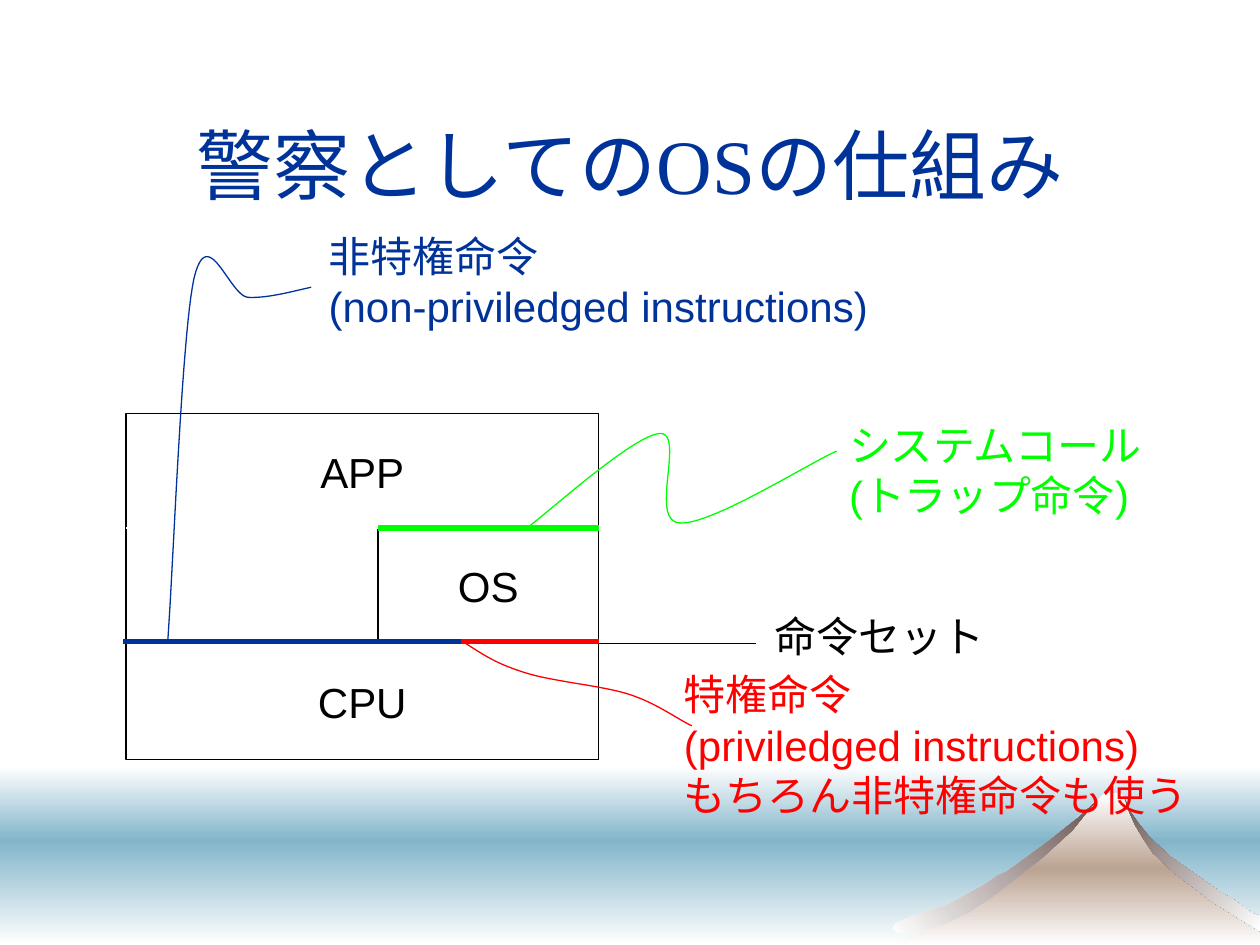
from copy import deepcopy
from dataclasses import dataclass

from lxml import etree
from pptx import Presentation
from pptx.dml.color import RGBColor
from pptx.enum.shapes import MSO_CONNECTOR, MSO_SHAPE
from pptx.enum.text import MSO_ANCHOR, MSO_AUTO_SIZE, PP_ALIGN
from pptx.oxml.ns import qn
from pptx.util import Inches, Pt

RECTANGLE = MSO_SHAPE.RECTANGLE
STRAIGHT = MSO_CONNECTOR.STRAIGHT
LEFT, CENTER = PP_ALIGN.LEFT, PP_ALIGN.CENTER
TOP, MIDDLE = MSO_ANCHOR.TOP, MSO_ANCHOR.MIDDLE
FIT_SHAPE = MSO_AUTO_SIZE.SHAPE_TO_FIT_TEXT

BLACK = RGBColor(0x00, 0x00, 0x00)
WHITE = RGBColor(0xFF, 0xFF, 0xFF)
NAVY = RGBColor(0x00, 0x33, 0x99)
GREEN = RGBColor(0x00, 0xFF, 0x00)
RED = RGBColor(0xFF, 0x00, 0x00)
WATER = RGBColor(0x82, 0xB5, 0xCA)
EARTH = RGBColor(0xBC, 0xA3, 0x92)
RIDGE = RGBColor(0x6B, 0x56, 0x53)

THIN, THICK = 0.74, 3
LAYER_LEFT, LAYER_WIDTH, LAYER_HEIGHT = 1, 3.75, 0.92
LAYER_TOPS = (3.28, 4.19, 5.11)
OS_LEFT = 3
CURVE_STEPS = 24

Point = tuple[float, float]


@dataclass
class Layer:
    text: str
    left: float
    row: int
    width: float


@dataclass
class Rule:
    start: Point
    end: Point
    color: RGBColor
    weight: float


@dataclass
class Label:
    text: str
    box: tuple[float, float, float, float]
    color: RGBColor


@dataclass
class Curve:
    points: list[Point]
    color: RGBColor


@dataclass
class Slope:
    points: list[Point]
    colors: list[RGBColor]
    angle: float


BANDS = [
    (6.08, 0.59, [WHITE, WATER]),
    (6.67, 0.83, [WATER, WHITE]),
]
SLOPES = [
    Slope([(7.11, 7.5), (7.9, 7.05), (8.4, 6.66), (8.69, 6.37), (8.75, 6.31),
           (8.8, 6.29), (8.86, 6.29), (8.91, 6.31), (9.03, 6.57), (9.22, 6.8),
           (9.68, 7.12), (10, 7.33), (10, 7.5)], [WHITE, EARTH, WHITE], 270),
    Slope([(9.15, 6.77), (9.31, 6.92), (9.48, 7.05), (9.61, 7.15), (9.9, 7.33),
           (10, 7.39), (10, 7.27), (9.94, 7.25), (9.79, 7.14), (9.7, 7.09),
           (9.29, 6.8), (9.12, 6.64), (9.04, 6.54), (8.97, 6.44), (8.92, 6.32),
           (8.96, 6.44), (9.01, 6.55), (9.07, 6.65)], [RIDGE, WHITE], 315),
    Slope([(8.32, 6.68), (7.99, 6.92), (7.92, 6.95), (7.82, 7.02), (7.51, 7.19),
           (7.35, 7.23), (7.2, 7.29), (7.11, 7.33), (7.08, 7.37), (7.12, 7.4),
           (7.2, 7.41), (7.3, 7.39), (7.5, 7.33), (7.69, 7.24), (7.86, 7.13),
           (8.27, 6.81), (8.51, 6.59), (8.64, 6.43), (8.68, 6.38), (8.56, 6.49)],
          [WHITE, RIDGE], 45),
]
LAYERS = [
    Layer("CPU", LAYER_LEFT, 2, LAYER_WIDTH),
    Layer("OS", OS_LEFT, 1, 1.75),
    Layer("APP", LAYER_LEFT, 0, LAYER_WIDTH),
    Layer("", LAYER_LEFT, 1, 2),
]
RULES = [
    Rule((1, 4.19), (3, 4.19), WHITE, THIN),
    Rule((3, 4.19), (4.75, 4.19), GREEN, THICK),
    Rule((3, 5.09), (4.75, 5.09), RED, THICK),
    Rule((0.98, 5.09), (3.66, 5.09), NAVY, THICK),
    Rule((4.75, 5.11), (6, 5.11), BLACK, THIN),
]
CURVES = [
    Curve([(4.17, 4.2), (4.35, 4.07), (5.03, 3.45), (5.24, 3.44), (5.44, 3.44),
           (5.15, 4.13), (5.39, 4.15), (5.62, 4.18), (6.38, 3.7), (6.64, 3.58)], GREEN),
    Curve([(3.67, 5.09), (3.87, 5.22), (3.95, 5.27), (4.17, 5.34), (4.39, 5.41),
           (4.77, 5.44), (4.99, 5.51), (5.21, 5.58), (5.38, 5.71), (5.49, 5.76)], RED),
    Curve([(1.33, 5.11), (1.37, 4.63), (1.44, 2.67), (1.54, 2.21), (1.65, 1.75),
           (1.82, 2.35), (1.97, 2.36), (2.13, 2.37), (2.37, 2.3), (2.47, 2.28)], NAVY),
]
LABELS = [
    Label("システムコール\n(トラップ命令)", (6.64, 3.28, 2.6, 0.9), GREEN),
    Label("特権命令\n(priviledged instructions)\nもちろん非特権命令も使う",
          (5.33, 5.26, 4.22, 1.3), RED),
    Label("非特権命令\n(non-priviledged instructions)", (2.51, 1.78, 4.5, 0.9), NAVY),
    Label("命令セット", (6.05, 4.8, 1.9, 0.5), BLACK),
]


def write_text(shape, text: str, *, color: RGBColor = BLACK, size: float = 24,
               font: str = "Arial", align=LEFT, anchor=TOP, wrap: bool = False) -> None:
    frame = shape.text_frame
    frame.word_wrap = wrap
    frame.vertical_anchor = anchor
    for index, line in enumerate(text.split("\n")):
        para = frame.add_paragraph() if index else frame.paragraphs[0]
        para.alignment = align
        span = para.add_run()
        span.text = line
        span.font.name = font
        span.font.size = Pt(size)
        span.font.color.rgb = color


def add_rectangle(page, left: float, top: float, width: float, height: float):
    box = page.shapes.add_shape(RECTANGLE, Inches(left), Inches(top),
                                Inches(width), Inches(height))
    box.shadow.inherit = False
    return box


def add_outline(page, points: list[Point], closed: bool):
    corners = [(Inches(x), Inches(y)) for x, y in points]
    builder = page.shapes.build_freeform(*corners[0], scale=1.0)
    builder.add_line_segments(corners[1:], close=closed)
    outline = builder.convert_to_shape()
    outline.shadow.inherit = False
    return outline


def paint_gradient(shape, colors: list[RGBColor], angle: float) -> None:
    shape.line.fill.background()
    shape.fill.gradient()
    shape.fill.gradient_angle = angle
    stop_list = shape.element.spPr.find(qn("a:gradFill")).find(qn("a:gsLst"))
    for _ in colors[2:]:
        stop_list.append(deepcopy(stop_list[-1]))
    for index, (stop, color) in enumerate(zip(shape.fill.gradient_stops, colors)):
        stop.position = index / (len(colors) - 1)
        stop.color.rgb = color


def trace_curve(points: list[Point]) -> list[Point]:
    traced = [points[0]]
    for first in range(0, len(points) - 1, 3):
        knots = points[first:first + 4]
        for step in range(1, CURVE_STEPS + 1):
            t = step / CURVE_STEPS
            weights = ((1 - t) ** 3, 3 * t * (1 - t) ** 2, 3 * t * t * (1 - t), t ** 3)
            traced.append((sum(w * x for w, (x, _) in zip(weights, knots)),
                           sum(w * y for w, (_, y) in zip(weights, knots))))
    return traced


def add_layer(page, layer: Layer) -> None:
    box = add_rectangle(page, layer.left, LAYER_TOPS[layer.row], layer.width, LAYER_HEIGHT)
    box.fill.solid()
    box.fill.fore_color.rgb = WHITE
    box.line.color.rgb = BLACK
    box.line.width = Pt(THIN)
    if layer.text:
        write_text(box, layer.text, align=CENTER, anchor=MIDDLE)


def add_rule(page, rule: Rule) -> None:
    line = page.shapes.add_connector(STRAIGHT, *map(Inches, rule.start + rule.end))
    line.line.color.rgb = rule.color
    line.line.width = Pt(rule.weight)
    etree.SubElement(line.element.spPr, qn("a:effectLst"))


def add_curve(page, curve: Curve) -> None:
    shape = add_outline(page, trace_curve(curve.points), False)
    shape.fill.background()
    shape.line.color.rgb = curve.color
    shape.line.width = Pt(THIN)


def add_label(page, label: Label) -> None:
    box = page.shapes.add_textbox(*map(Inches, label.box))
    write_text(box, label.text, color=label.color)
    box.text_frame.auto_size = FIT_SHAPE


deck = Presentation()
deck.slide_width, deck.slide_height = Inches(10), Inches(7.5)
page = deck.slides.add_slide(deck.slide_layouts[6])
for top, height, colors in BANDS:
    paint_gradient(add_rectangle(page, 0, top, 10, height), colors, 270)
for slope in SLOPES:
    paint_gradient(add_outline(page, slope.points, True), slope.colors, slope.angle)
title = page.shapes.add_textbox(Inches(0.75), Inches(0.67), Inches(8.5), Inches(1.25))
write_text(title, "警察としてのOSの仕組み", color=NAVY, size=44, font="Times New Roman",
           align=CENTER, anchor=MIDDLE, wrap=True)
for items, draw in ((LAYERS, add_layer), (RULES, add_rule),
                    (CURVES, add_curve), (LABELS, add_label)):
    for item in items:
        draw(page, item)
deck.save("out.pptx")
